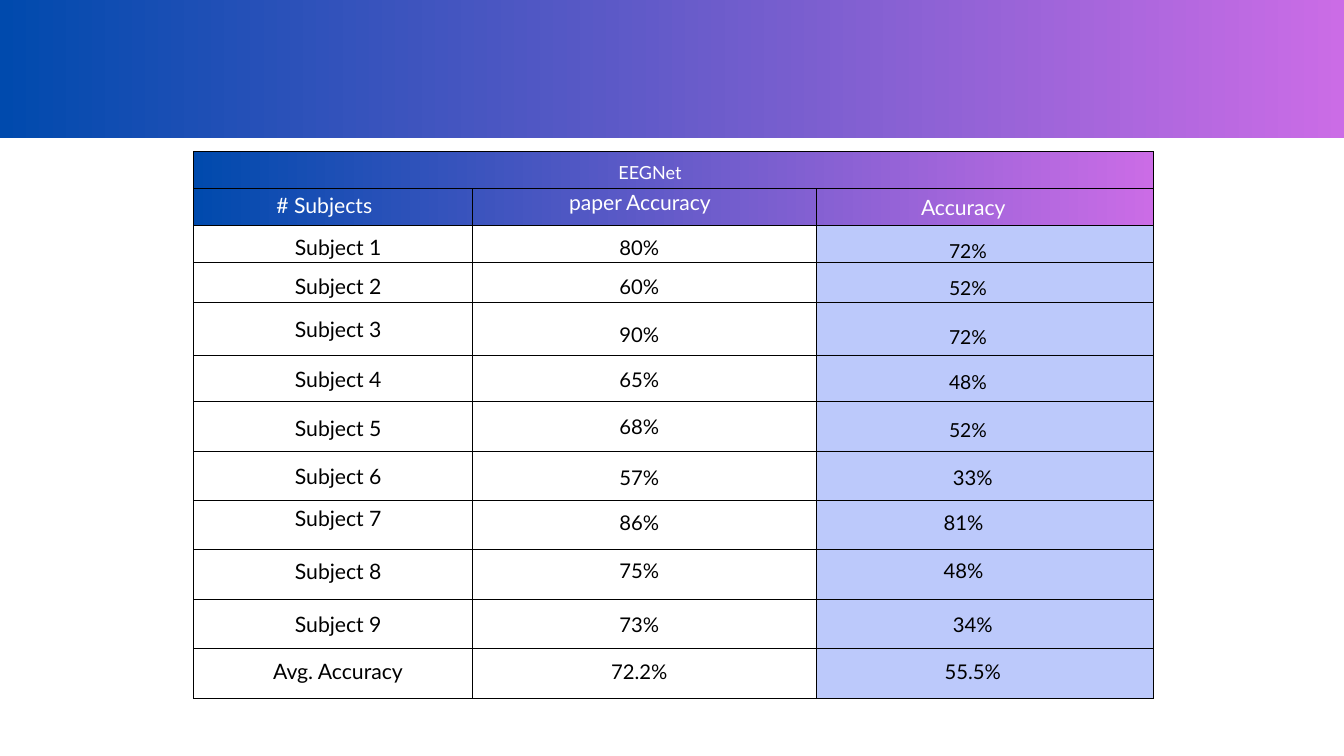
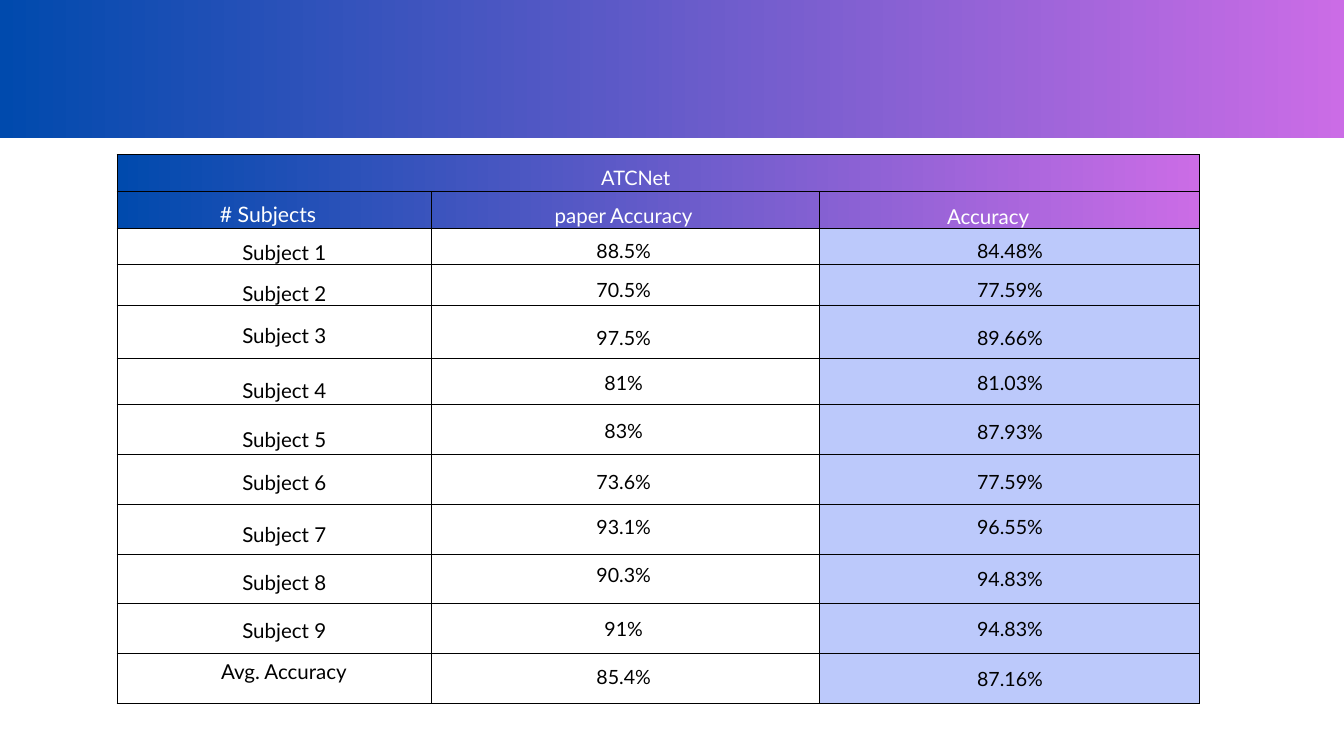
import dataclasses
import itertools

import pptx
import pptx.dml.color
import pptx.enum.shapes
import pptx.enum.text
import pptx.oxml
import pptx.oxml.ns
import pptx.util

Cm = pptx.util.Cm
Pt = pptx.util.Pt
RGB = pptx.dml.color.RGBColor.from_string


@dataclasses.dataclass(frozen=True)
class Theme:
    font: str = "Lato"
    blue: str = "004AAD"
    pink: str = "CB6CE6"
    tint: str = "7B95F9"
    alpha: int = 50000
    ink: str = "000000"
    light: str = "FFFFFF"
    rule: int = 12700
    lead: float = 1.4  # line height as a multiple of type size


THEME = Theme()
WIDE, HIGH, BAND = 50.8, 28.58, 5.21
SUBJECTS = [f"Subject {n}" for n in range(1, 10)]
MEAN = ["Avg. Accuracy"]

# Each label group: type size, left and width in cm, texts, tops in cm.
MODELS = [
    {
        "left": 7.32, "top": 5.74, "cols": [10.54, 13.0, 12.75],
        "rows": [1.39] * 3 + [1.51, 2.0, 1.76] + [1.87] * 6,
        "heads": [
            (19.3, 19.02, 11.1, ["EEGNet"], [5.97]),
            (22.7, 7.32, 9.88, ["# Subjects"], [7.11]),
            (22.6, 18.64, 11.1, ["paper Accuracy"], [6.99]),
            (22.6, 32.41, 8.0, ["Accuracy"], [7.19]),
        ],
        "body": [
            (22.7, 9.14, 7.29, SUBJECTS,
             [8.71, 10.19, 11.81, 13.67, 15.54, 17.37, 18.95, 20.93, 22.94]),
            (22.7, 8.48, 8.59, MEAN, [24.74]),
            (21.7, 20.52, 7.29,
             ["80%", "60%", "90%", "65%", "68%", "57%", "86%", "75%", "73%", "72.2%"],
             [8.76, 10.21, 12.04, 13.74, 15.52, 17.45, 19.13, 20.96, 22.99, 24.77]),
            (20.7, 33.12, 6.93, ["72%", "52%", "72%", "48%", "52%"],
             [8.89, 10.31, 12.14, 13.84, 15.67]),
            (21.7, 33.12, 7.29, ["33%"], [17.45]),
            (21.7, 32.77, 7.29, ["81%", "48%"], [19.13, 20.96]),
            (21.7, 33.12, 7.29, ["34%", "55.5%"], [22.99, 24.77]),
        ],
    },
    {
        "left": 4.42, "top": 5.84, "cols": [11.89, 14.66, 14.36],
        "rows": [1.39] * 3 + [1.52, 2.03, 1.75] + [1.88] * 6,
        "heads": [
            (21.4, 17.78, 12.5, ["ATCNet"], [6.1]),
            (22.8, 4.57, 11.13, ["# Subjects"], [7.44]),
            (22, 17.32, 12.5, ["paper Accuracy"], [7.52]),
            (22, 32.84, 9.02, ["Accuracy"], [7.57]),
        ],
        "body": [
            (22, 6.63, 8.23, SUBJECTS,
             [8.92, 10.46, 12.04, 14.12, 15.98, 17.63, 19.58, 21.39, 23.19]),
            (22, 5.89, 9.68, MEAN, [24.74]),
            (21, 19.46, 8.23,
             ["88.5%", "70.5%", "97.5%", "81%", "83%",
              "73.6%", "93.1%", "90.3%", "91%", "85.4%"],
             [8.89, 10.36, 12.19, 13.89, 15.67, 17.63, 19.3, 21.13, 23.19, 24.97]),
            (21, 34.06, 8.23,
             ["84.48%", "77.59%", "89.66%", "81.03%", "87.93%",
              "77.59%", "96.55%", "94.83%", "94.83%", "87.16%"],
             [8.89, 10.36, 12.19, 13.89, 15.72, 17.63, 19.3, 21.29, 23.19, 25.07]),
        ],
    },
]


def add_band(slide, left, top, width, height):
    kind = pptx.enum.shapes.MSO_SHAPE.RECTANGLE
    band = slide.shapes.add_shape(kind, Cm(left), Cm(top), Cm(width), Cm(height))
    band.shadow.inherit = False
    band.line.fill.background()
    band.fill.gradient()
    band.fill.gradient_angle = 0
    for stop, color in zip(band.fill.gradient_stops, (THEME.blue, THEME.pink)):
        stop.color.rgb = RGB(color)


def style_cell(cell, tinted):
    """Rule all four sides and fill the cell with a clear tint or nothing."""
    if tinted:
        cell.fill.solid()
        cell.fill.fore_color.rgb = RGB(THEME.tint)
    else:
        cell.fill.background()
    props = cell._tc.get_or_add_tcPr()
    for color in props.iter(pptx.oxml.ns.qn("a:srgbClr")):
        color.append(pptx.oxml.parse_xml(
            f'<a:alpha {pptx.oxml.ns.nsdecls("a")} val="{THEME.alpha}"/>'))
    for spot, side in enumerate("LRTB"):
        props.insert(spot, pptx.oxml.parse_xml(
            f'<a:ln{side} {pptx.oxml.ns.nsdecls("a")} w="{THEME.rule}">'
            f'<a:solidFill><a:srgbClr val="{THEME.ink}"/></a:solidFill></a:ln{side}>'))


def add_grid(slide, left, top, cols, rows):
    """Draw the ruled table over its two header bands."""
    width = sum(cols)
    for row in range(2):
        add_band(slide, left, top + sum(rows[:row]), width, rows[row])
    table = slide.shapes.add_table(
        len(rows), len(cols), Cm(left), Cm(top), Cm(width), Cm(sum(rows))).table
    table.first_row = table.horz_banding = False
    for col, size in zip(table.columns, cols):
        col.width = Cm(size)
    for row, size in zip(table.rows, rows):
        row.height = Cm(size)
    for row, col in itertools.product(range(len(rows)), range(len(cols))):
        style_cell(table.cell(row, col), row > 1 and col == 2)
    table.cell(0, 0).merge(table.cell(0, len(cols) - 1))


def add_label(slide, text, size, color, left, top, width):
    line = Pt(size * THEME.lead)
    box = slide.shapes.add_textbox(Cm(left), Cm(top), Cm(width), line)
    frame = box.text_frame
    frame.word_wrap = True
    frame.auto_size = pptx.enum.text.MSO_AUTO_SIZE.SHAPE_TO_FIT_TEXT
    frame.margin_left = frame.margin_right = frame.margin_top = frame.margin_bottom = 0
    para = frame.paragraphs[0]
    para.text = text
    para.alignment = pptx.enum.text.PP_ALIGN.CENTER
    para.line_spacing = line
    para.font.name = THEME.font
    para.font.size = Pt(size)
    para.font.color.rgb = RGB(color)


def add_labels(slide, groups, color):
    for size, left, width, texts, tops in groups:
        for text, top in zip(texts, tops):
            add_label(slide, text, size, color, left, top, width)


def main():
    deck = pptx.Presentation()
    deck.slide_width, deck.slide_height = Cm(WIDE), Cm(HIGH)
    for model in MODELS:
        slide = deck.slides.add_slide(deck.slide_layouts[6])
        add_band(slide, 0, 0, WIDE, BAND)
        add_grid(slide, model["left"], model["top"], model["cols"], model["rows"])
        add_labels(slide, model["heads"], THEME.light)
        add_labels(slide, model["body"], THEME.ink)
    deck.save("out.pptx")


if __name__ == "__main__":
    main()
